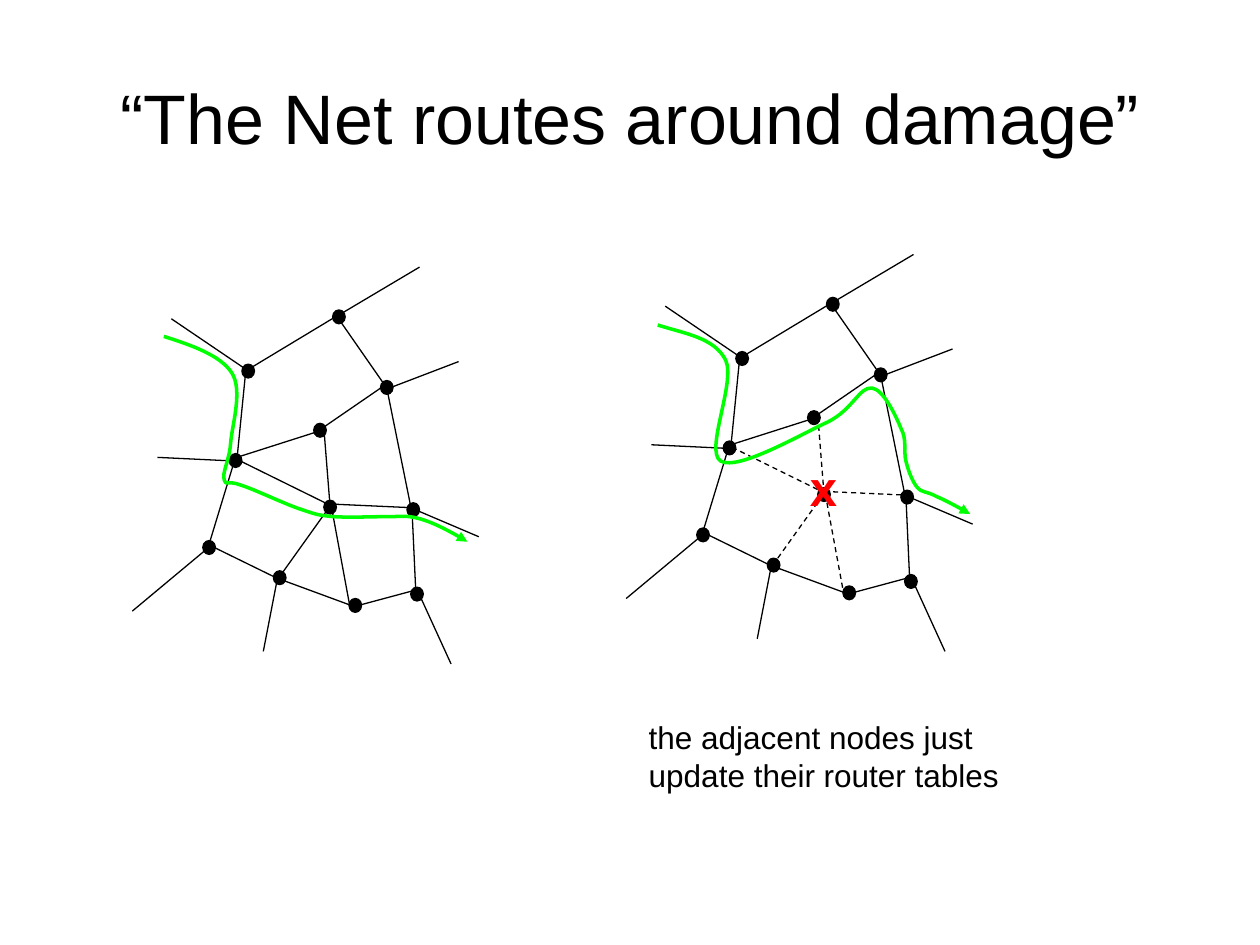
from lxml import etree
from pptx import Presentation
from pptx.dml.color import RGBColor
from pptx.enum.dml import MSO_LINE
from pptx.enum.shapes import MSO_CONNECTOR, MSO_SHAPE
from pptx.enum.text import MSO_ANCHOR, MSO_AUTO_SIZE, PP_ALIGN
from pptx.oxml.ns import qn
from pptx.util import Inches, Pt

STRAIGHT = MSO_CONNECTOR.STRAIGHT
OVAL = MSO_SHAPE.OVAL
DASH = MSO_LINE.DASH
TOP, MIDDLE = MSO_ANCHOR.TOP, MSO_ANCHOR.MIDDLE
LEFT, CENTER = PP_ALIGN.LEFT, PP_ALIGN.CENTER
FIT_TEXT, FIXED = MSO_AUTO_SIZE.SHAPE_TO_FIT_TEXT, MSO_AUTO_SIZE.NONE

BLACK, GREEN, RED = "000000", "00FF00", "FF0000"
NODE_WIDTH, NODE_HEIGHT = 0.1, 0.11
INTACT_OFFSET = (0, 0)
DAMAGED_OFFSET = (3.92, -0.1)

INNER_LINKS = [
    (1.36, 2.53, 1.95, 2.93), (1.94, 2.95, 2.67, 2.51),
    (1.95, 2.95, 1.88, 3.65), (1.88, 3.66, 1.25, 3.63),
    (2.68, 2.52, 3.07, 3.08), (2.69, 2.5, 3.33, 2.12),
    (1.86, 3.66, 1.65, 4.35), (2.57, 3.39, 3.05, 3.06),
    (3.07, 3.08, 3.26, 4.02), (3.09, 3.08, 3.64, 2.87),
    (1.88, 3.63, 2.57, 3.41), (3.26, 4.03, 3.8, 4.26),
    (3.27, 4.04, 3.3, 4.7),
]
HUB_LINKS = [
    (1.89, 3.65, 2.62, 4.01), (2.62, 4.02, 2.57, 3.39),
    (2.62, 4, 3.28, 4.03), (2.63, 4.02, 2.78, 4.83),
    (2.61, 4.03, 2.21, 4.59),
]
OUTER_LINKS = [
    (1.67, 4.33, 2.2, 4.59), (1.65, 4.35, 1.05, 4.85),
    (2.2, 4.6, 2.09, 5.17), (2.23, 4.6, 2.8, 4.81),
    (2.79, 4.82, 3.31, 4.68), (3.32, 4.7, 3.58, 5.27),
]
INNER_NODES = [(1.92, 2.89), (1.82, 3.6), (2.49, 3.36), (2.64, 2.46),
               (3.02, 3.02), (3.23, 3.99), (2.57, 3.97)]
OUTER_NODES = [(1.61, 4.29), (2.17, 4.53), (2.77, 4.75), (3.26, 4.66)]

DIRECT_ROUTE = [
    (1.3, 2.67),
    (1.52, 2.74), (1.75, 2.82), (1.84, 2.96),
    (1.93, 3.1), (1.84, 3.38), (1.83, 3.52),
    (1.82, 3.66), (1.76, 3.75), (1.78, 3.81),
    (1.79, 3.86), (1.81, 3.81), (1.91, 3.85),
    (2.01, 3.88), (2.26, 4), (2.38, 4.04),
    (2.5, 4.08), (2.52, 4.09), (2.64, 4.1),
    (2.76, 4.11), (2.99, 4.1), (3.1, 4.1),
    (3.22, 4.1), (3.23, 4.09), (3.34, 4.12),
    (3.44, 4.15), (3.58, 4.22), (3.71, 4.3),
]
DETOUR_ROUTE = [
    (5.22, 2.58),
    (5.44, 2.65), (5.67, 2.68), (5.76, 2.86),
    (5.84, 3.04), (5.59, 3.58), (5.72, 3.66),
    (5.86, 3.74), (6.37, 3.44), (6.57, 3.35),
    (6.77, 3.25), (6.82, 3.07), (6.92, 3.08),
    (7.01, 3.09), (7.11, 3.3), (7.15, 3.4),
    (7.2, 3.49), (7.17, 3.58), (7.19, 3.66),
    (7.21, 3.74), (7.24, 3.82), (7.28, 3.87),
    (7.31, 3.91), (7.36, 3.9), (7.43, 3.94),
    (7.5, 3.97), (7.65, 4.05), (7.7, 4.08),
]


def color(hex_value):
    return RGBColor.from_string(hex_value)


def set_line(line, hex_value, width):
    line.color.rgb = color(hex_value)
    line.width = Pt(width)


def add_text(shapes, text, box, size, hex_value=BLACK, bold=False,
             align=LEFT, anchor=TOP, wrap=False, fit=FIT_TEXT):
    label = shapes.add_textbox(*map(Inches, box))
    frame = label.text_frame
    frame.word_wrap = wrap
    frame.auto_size = fit
    frame.vertical_anchor = anchor
    frame.text = text
    for paragraph in frame.paragraphs:
        paragraph.alignment = align
        paragraph.font.name = "Arial"
        paragraph.font.size = Pt(size)
        paragraph.font.bold = bold
        paragraph.font.color.rgb = color(hex_value)


def add_links(shapes, links, offset, dash=None):
    dx, dy = offset
    for x1, y1, x2, y2 in links:
        link = shapes.add_connector(STRAIGHT, Inches(x1 + dx), Inches(y1 + dy),
                                    Inches(x2 + dx), Inches(y2 + dy))
        set_line(link.line, BLACK, 0.75)
        if dash:
            link.line.dash_style = dash
        etree.SubElement(link._element.spPr, qn("a:effectLst"))


def add_nodes(shapes, nodes, offset):
    dx, dy = offset
    for x, y in nodes:
        node = shapes.add_shape(OVAL, Inches(x + dx), Inches(y + dy),
                                Inches(NODE_WIDTH), Inches(NODE_HEIGHT))
        node.shadow.inherit = False
        node.fill.solid()
        node.fill.fore_color.rgb = color(BLACK)
        set_line(node.line, BLACK, 0.75)


def add_route(shapes, points):
    start, *controls = [(Inches(x), Inches(y)) for x, y in points]
    builder = shapes.build_freeform(*start)
    builder.add_line_segments(controls, close=False)
    route = builder.convert_to_shape()
    route.shadow.inherit = False
    route.fill.background()
    set_line(route.line, GREEN, 2)
    outline = route._element.spPr.find(qn("a:ln"))
    etree.SubElement(outline, qn("a:tailEnd"), type="triangle")

    track = next(route._element.iter(qn("a:path")))
    segments = track.findall(qn("a:lnTo"))
    for first in range(0, len(segments), 3):
        curve = etree.SubElement(track, qn("a:cubicBezTo"))
        for segment in segments[first:first + 3]:
            curve.append(segment[0])
            track.remove(segment)


def add_network(slide, offset, route, damaged=False):
    shapes = slide.shapes.add_group_shape().shapes
    add_links(shapes, INNER_LINKS, offset)
    add_links(shapes, HUB_LINKS, offset, DASH if damaged else None)
    add_nodes(shapes, INNER_NODES, offset)
    add_route(shapes, route)
    if damaged:
        add_text(shapes, "x", (6.33, 3.58, 0.41, 0.57), 28,
                 hex_value=RED, bold=True)
    add_links(shapes, OUTER_LINKS, offset)
    add_nodes(shapes, OUTER_NODES, offset)


def main():
    presentation = Presentation()
    presentation.slide_width = Inches(10)
    presentation.slide_height = Inches(7.5)
    slide = presentation.slides.add_slide(presentation.slide_layouts[6])
    add_text(slide.shapes, "“The Net routes around damage”", (0.5, 0.3, 9, 1.25),
             40, align=CENTER, anchor=MIDDLE, wrap=True, fit=FIXED)
    add_text(slide.shapes, "the adjacent nodes just\nupdate their router tables",
             (5.05, 5.65, 2.98, 0.7), 18)
    add_network(slide, INTACT_OFFSET, DIRECT_ROUTE)
    add_network(slide, DAMAGED_OFFSET, DETOUR_ROUTE, damaged=True)
    presentation.save("out.pptx")


if __name__ == "__main__":
    main()
